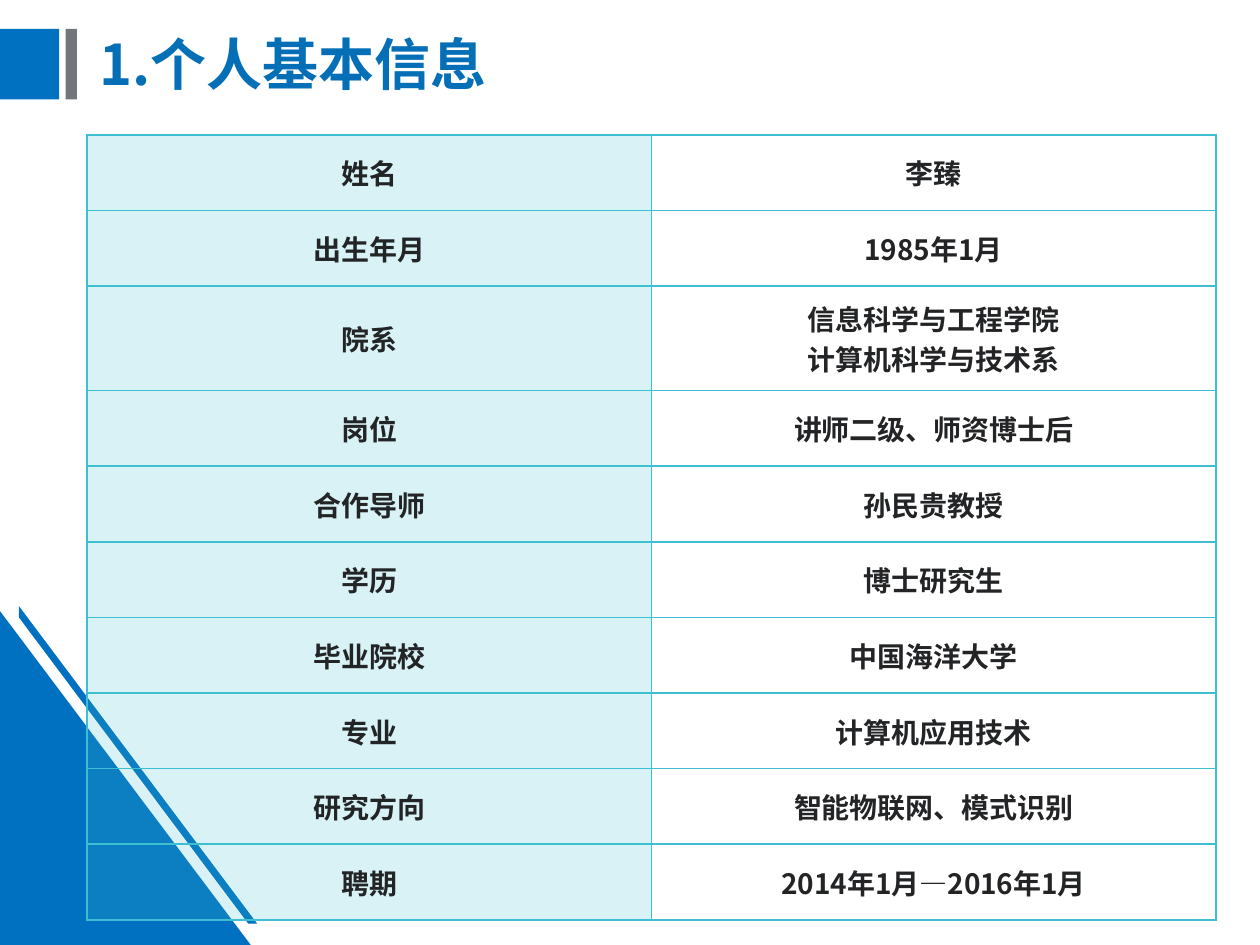
from dataclasses import dataclass

from lxml import etree
from pptx import Presentation
from pptx.dml.color import RGBColor
from pptx.enum import shapes, text
from pptx.oxml import ns
from pptx.util import Inches, Pt


@dataclass(frozen=True)
class Theme:
    """Colours, font and type sizes of the slide."""
    blue: str = "0070C0"
    grey: str = "73767A"
    title: str = "046FB6"
    ink: str = "232426"
    teal: str = "3DBFD1"
    label_opacity: int = 20
    font: str = "Noto Sans CJK SC"
    title_size: int = 32
    table_size: int = 16
    border_width: float = 1


THEME = Theme()

PROFILE = [
    ("姓名", ["李臻"]),
    ("出生年月", ["1985年1月"]),
    ("院系", ["信息科学与工程学院", "计算机科学与技术系"]),
    ("岗位", ["讲师二级、师资博士后"]),
    ("合作导师", ["孙民贵教授"]),
    ("学历", ["博士研究生"]),
    ("毕业院校", ["中国海洋大学"]),
    ("专业", ["计算机应用技术"]),
    ("研究方向", ["智能物联网、模式识别"]),
    ("聘期", ["2014年1月—2016年1月"]),
]


def add_child(parent, tag, **attributes):
    """Append a DrawingML element and return it."""
    return etree.SubElement(parent, ns.qn(tag), attributes)


def paint(shape, color):
    """Give a shape a flat fill without line or shadow."""
    shape.shadow.inherit = False
    shape.fill.solid()
    shape.fill.fore_color.rgb = RGBColor.from_string(color)
    shape.line.fill.background()


def add_block(page, kind, bounds, color):
    """Add a flat preset shape."""
    paint(page.shapes.add_shape(kind, *map(Inches, bounds)), color)


def add_stripe(page, points, color):
    """Add a flat polygon through points given in inches."""
    start, *others = [(Inches(x), Inches(y)) for x, y in points]
    builder = page.shapes.build_freeform(*start)
    builder.add_line_segments(others, close=True)
    paint(builder.convert_to_shape(), color)


def add_span(para, words, size, color):
    """Add one bold run in the theme font."""
    span = para.add_run()
    span.text = words
    span.font.size = Pt(size)
    span.font.bold = True
    span.font.name = THEME.font
    span.font.color.rgb = RGBColor.from_string(color)
    add_child(span.font._element, "a:ea", typeface=THEME.font)


def add_title(page, words, bounds):
    """Add the slide heading."""
    frame = page.shapes.add_textbox(*map(Inches, bounds)).text_frame
    frame.word_wrap = True
    frame.vertical_anchor = text.MSO_ANCHOR.MIDDLE
    para = frame.paragraphs[0]
    para.line_spacing = 0.9
    add_span(para, words, THEME.title_size, THEME.title)


def draw_borders(cell):
    """Outline all four sides of a table cell."""
    properties = cell._tc.get_or_add_tcPr()
    for side in "LRTB":
        line = add_child(properties, f"a:ln{side}", w=str(Pt(THEME.border_width)))
        add_child(add_child(line, "a:solidFill"), "a:srgbClr", val=THEME.teal)


def tint(cell):
    """Fill a label cell with the translucent accent."""
    cell.fill.solid()
    cell.fill.fore_color.rgb = RGBColor.from_string(THEME.teal)
    color = cell._tc.tcPr.find(".//" + ns.qn("a:solidFill") + "[last()]/..")
    fill = cell._tc.tcPr.find(ns.qn("a:solidFill")) if color is not None else None
    add_child(fill[0], "a:alpha", val=str(THEME.label_opacity * 1000))


def write_cell(cell, lines):
    """Outline a cell and write centred lines in it."""
    draw_borders(cell)
    cell.vertical_anchor = text.MSO_ANCHOR.MIDDLE
    frame = cell.text_frame
    for index, words in enumerate(lines):
        para = frame.add_paragraph() if index else frame.paragraphs[0]
        para.alignment = text.PP_ALIGN.CENTER
        add_span(para, words, THEME.table_size, THEME.ink)


def add_profile(page, profile, bounds, row_height, tall_height):
    """Add the two-column table of personal details."""
    table = page.shapes.add_table(len(profile), 2, *map(Inches, bounds)).table
    table.first_row = False
    table.horz_banding = False
    for row, (label, lines) in enumerate(profile):
        table.rows[row].height = Inches(tall_height if len(lines) > 1 else row_height)
        label_cell, value_cell = table.cell(row, 0), table.cell(row, 1)
        write_cell(label_cell, [label])
        tint(label_cell)
        write_cell(value_cell, lines)
        value_cell.fill.background()


def main():
    """Build and save the slide."""
    deck = Presentation()
    deck.slide_width, deck.slide_height = Inches(10), Inches(7.5)
    page = deck.slides.add_slide(deck.slide_layouts[6])
    kinds = shapes.MSO_SHAPE
    add_block(page, kinds.RECTANGLE, (0, 0.23, 0.47, 0.56), THEME.blue)
    add_block(page, kinds.RECTANGLE, (0.52, 0.23, 0.09, 0.56), THEME.grey)
    add_block(page, kinds.RIGHT_TRIANGLE, (0, 4.85, 1.99, 2.65), THEME.blue)
    stripe = [(0.15, 4.81), (2.04, 7.33), (1.97, 7.33), (0.15, 4.9)]
    add_stripe(page, stripe, THEME.blue)
    add_title(page, "1.个人基本信息", (0.69, 0.1, 8.9, 0.87))
    add_profile(page, PROFILE, (0.69, 1.07, 8.96, 6.22), 0.6, 0.83)
    deck.save("out.pptx")


main()
